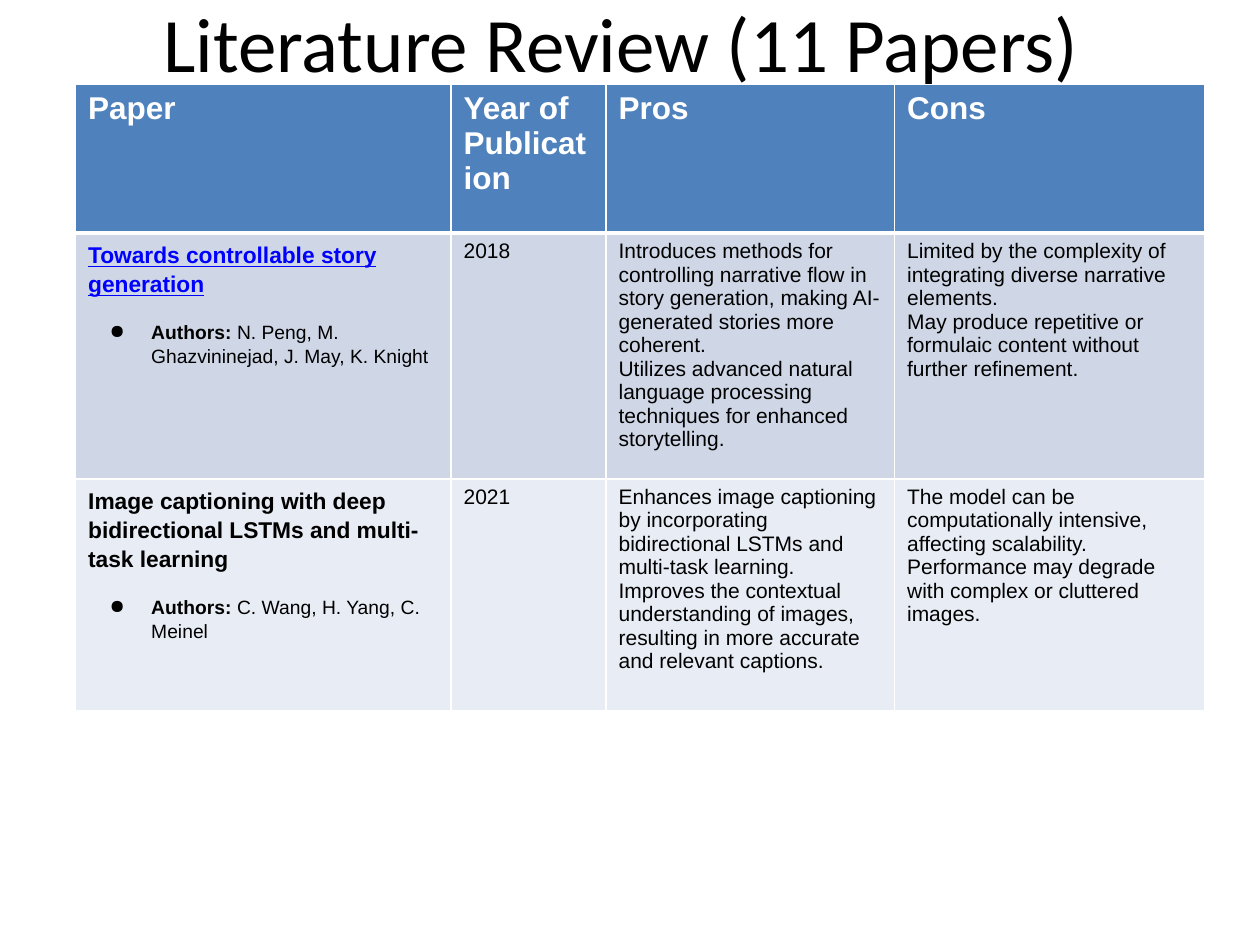
from lxml.etree import SubElement
from pptx import Presentation
from pptx.dml.color import RGBColor
from pptx.enum.text import MSO_ANCHOR, PP_ALIGN
from pptx.oxml.ns import qn
from pptx.util import Inches, Pt

COLS = [2.98, 1.23, 2.29, 2.46]
ROWS = [1.18, 1.95, 1.84]
FILLS = ["4F81BD", "CFD7E7", "E8ECF4"]
HEADS = ["Paper", "Year of Publication", "Pros", "Cons"]
PAPERS = [
    ("Towards controllable story generation", dict(color="0000FF", underline=True),
     "N. Peng, M. Ghazvininejad, J. May, K. Knight", "2018",
     ["Introduces methods for controlling narrative flow in story generation, "
      "making AI-generated stories more coherent.",
      "Utilizes advanced natural language processing techniques for enhanced storytelling."],
     ["Limited by the complexity of integrating diverse narrative elements.",
      "May produce repetitive or formulaic content without further refinement."]),
    ("Image captioning with deep bidirectional LSTMs and multi-task learning", {},
     "C. Wang, H. Yang, C. Meinel", "2021",
     ["Enhances image captioning by incorporating bidirectional LSTMs and multi-task learning.",
      "Improves the contextual understanding of images, resulting in more accurate "
      "and relevant captions."],
     ["The model can be computationally intensive, affecting scalability.",
      "Performance may degrade with complex or cluttered images."]),
]


def rgb(color):
    return RGBColor.from_string(color)


def add_text(p, text, size=12, color="000000", bold=False, underline=False,
             font="Arial", before=None, spacing=None):
    r = p.add_run()
    r.text = text
    r.font.name, r.font.size = font, Pt(size)
    r.font.bold, r.font.underline = bold, underline
    r.font.color.rgb = rgb(color)
    if before is not None:
        p.space_before = Pt(before)
    if spacing is not None:
        p.line_spacing = spacing


prs = Presentation()
prs.slide_width, prs.slide_height = Inches(10), Inches(7.5)
s = prs.slides.add_slide(prs.slide_layouts[5])

# Title
title = s.shapes.title
title.left, title.top = Inches(0.5), Inches(-0.29)
title.width, title.height = Inches(9), Inches(1.25)
tf = title.text_frame
tf.vertical_anchor = MSO_ANCHOR.MIDDLE
tf.paragraphs[0].alignment = PP_ALIGN.CENTER
add_text(tf.paragraphs[0], "Literature Review (11 Papers) ", size=44, font="Calibri")

# Table grid
table = s.shapes.add_table(len(ROWS), len(COLS), Inches(0.6), Inches(0.67),
                           Inches(sum(COLS)), Inches(sum(ROWS))).table
for col, width in zip(table.columns, COLS):
    col.width = Inches(width)
for row, height in zip(table.rows, ROWS):
    row.height = Inches(height)

# Cell borders and fills, with a heavier rule under the header
for i, row in enumerate(table.rows):
    for cell in row.cells:
        tcPr = cell._tc.get_or_add_tcPr()
        for side in ("L", "R", "T", "B"):
            heavy = (i, side) in ((0, "B"), (1, "T"))
            ln = SubElement(tcPr, qn(f"a:ln{side}"), w=str(Pt(3 if heavy else 1)))
            SubElement(SubElement(ln, qn("a:solidFill")), qn("a:srgbClr"), val="FFFFFF")
        cell.fill.solid()
        cell.fill.fore_color.rgb = rgb(FILLS[i])

# Header row
for c, head in enumerate(HEADS):
    add_text(table.cell(0, c).text_frame.paragraphs[0], head,
             size=18, color="FFFFFF", bold=True)

# Paper rows
for i, (name, style, authors, year, pros, cons) in enumerate(PAPERS, start=1):
    tf = table.cell(i, 0).text_frame
    add_text(tf.paragraphs[0], name, size=13, bold=True, before=14, spacing=1.15, **style)

    p = tf.add_paragraph()
    add_text(p, "Authors:", size=11, bold=True, before=12, spacing=1.15)
    add_text(p, f" {authors}", size=11)
    pPr = p._p.get_or_add_pPr()
    pPr.set("marL", str(Inches(0.5)))
    pPr.set("indent", str(Inches(-0.33)))
    SubElement(SubElement(pPr, qn("a:buClr")), qn("a:srgbClr"), val="000000")
    SubElement(pPr, qn("a:buChar"), char="●")

    for c, lines in enumerate(([year], pros, cons), start=1):
        tf = table.cell(i, c).text_frame
        for n, line in enumerate(lines):
            add_text(tf.add_paragraph() if n else tf.paragraphs[0], line)

prs.save("out.pptx")
